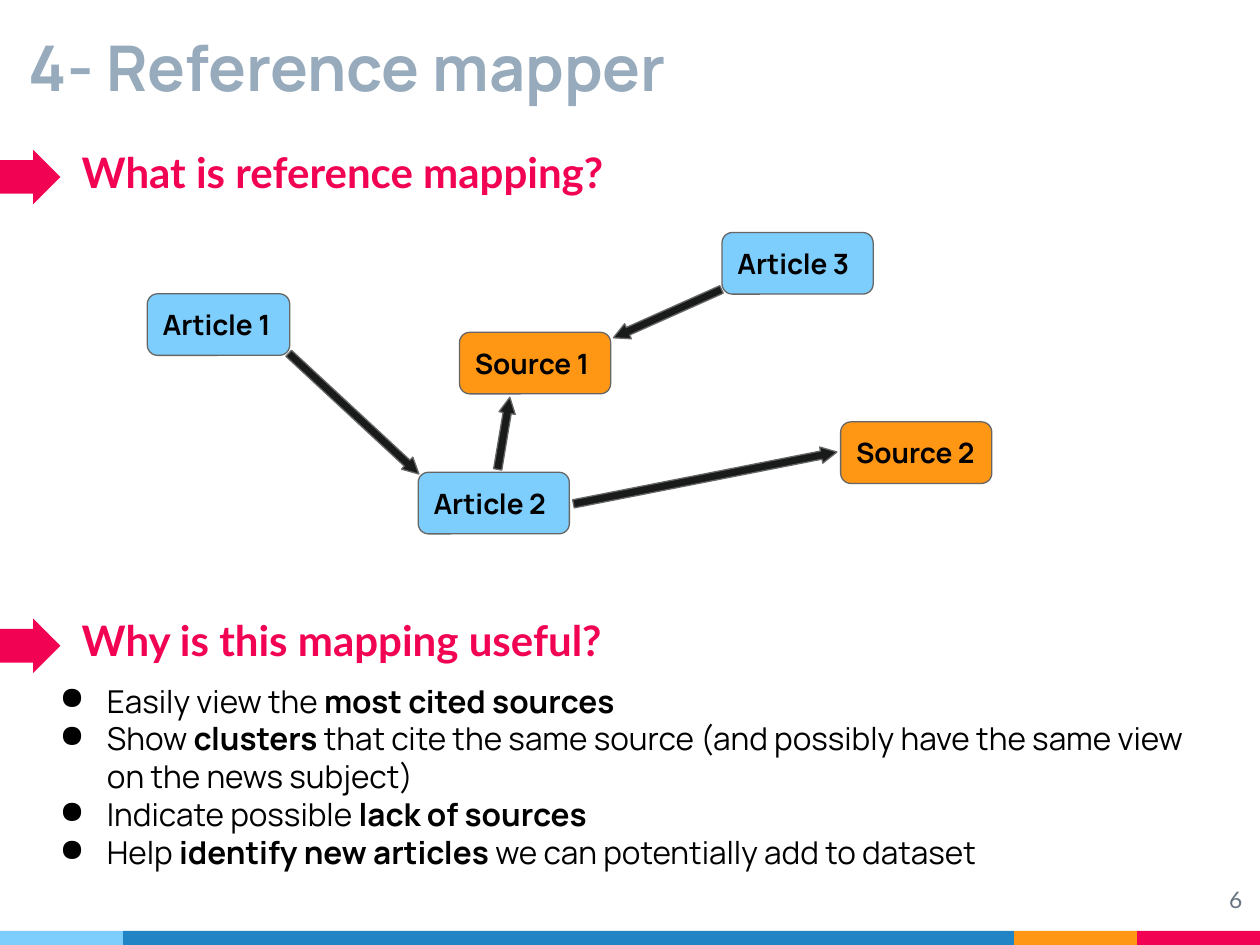
import math

from lxml import etree
from pptx import Presentation
from pptx.dml.color import RGBColor
from pptx.enum import shapes, text
from pptx.oxml import ns
from pptx.util import Pt

SKY = RGBColor(0x7E, 0xCE, 0xFD)
BLUE = RGBColor(0x21, 0x85, 0xC5)
ORANGE = RGBColor(0xFF, 0x97, 0x15)
PINK = RGBColor(0xF2, 0x02, 0x53)
TITLE_GREY = RGBColor(0x97, 0xAB, 0xBC)
NUMBER_GREY = RGBColor(0x67, 0x74, 0x80)
LINE_GREY = RGBColor(0x66, 0x66, 0x66)
INK = RGBColor(0x19, 0x1A, 0x1A)
BLACK = RGBColor(0, 0, 0)

SHAPE = shapes.MSO_SHAPE
ANCHOR = text.MSO_ANCHOR
ALIGN = text.PP_ALIGN

FOOTER = [(70.3, SKY), (509.2, BLUE), (70.25, ORANGE), (70.25, PINK)]
NODES = [
    ("Article 1", 0, 35, 81.4, SKY),
    ("Article 2", 154.8, 137, 86.4, SKY),
    ("Article 3", 328.4, 0, 86.4, SKY),
    ("Source 1", 178.4, 57, 86.4, ORANGE),
    ("Source 2", 396.2, 108.2, 86.4, ORANGE),
]
CITATIONS = [  # (tail, head)
    ((80.8, 69), (155.2, 138)),
    ((200.2, 135.3), (207.1, 94.1)),
    ((328.1, 32.5), (266.3, 60.1)),
    ((243.5, 155), (394.1, 125.4)),
]
BENEFITS = [  # runs alternate between regular and bold
    ("Easily view the ", "most cited sources"),
    ("Show ", "clusters ", "that cite the same source (and possibly "
     "have the same view on the news subject)"),
    ("Indicate possible ", "lack of sources"),
    ("Help ", "identify new articles", " we can potentially add to dataset"),
]


def style(font, name, size, color, bold=False):
    font.name, font.size, font.bold = name, Pt(size), bold
    font.color.rgb = color


def add_block(s, kind, x, y, w, h, fill, line=None):
    sp = s.shapes.add_shape(kind, Pt(x), Pt(y), Pt(w), Pt(h))
    sp.shadow.inherit = False
    sp.fill.solid()
    sp.fill.fore_color.rgb = fill
    if line is None:
        sp.line.fill.background()
    else:
        sp.line.color.rgb = line
        sp.line.width = Pt(0.75)
    return sp


def set_frame(sp, anchor):
    tf = sp.text_frame
    tf.word_wrap = True
    tf.vertical_anchor = anchor
    tf.margin_left = tf.margin_right = tf.margin_top = tf.margin_bottom = Pt(7.2)
    return tf


def add_text(s, x, y, w, h, anchor=ANCHOR.TOP):
    return set_frame(s.shapes.add_textbox(Pt(x), Pt(y), Pt(w), Pt(h)), anchor)


def add_line_of_text(s, box, words, font, size, color, bold=True,
                     anchor=ANCHOR.BOTTOM, align=ALIGN.LEFT):
    p = add_text(s, *box, anchor).paragraphs[0]
    p.text = words
    p.alignment = align
    style(p.runs[0].font, font, size, color, bold)


def add_footer(s, x, y, h):
    for w, color in FOOTER:
        add_block(s, SHAPE.RECTANGLE, x, y, w, h, color)
        x += w


def add_heading(s, x, y, words):
    """Pink arrow at the slide edge with its section heading."""
    add_line_of_text(s, (x + 39.6, y, 641.5, 50.4), words, "Lato", 24, PINK)
    sp = add_block(s, SHAPE.RIGHT_ARROW, x, y + 16.5, 34.5, 31, PINK)
    sp.adjustments[0] = 0.62


def add_node(s, x, y, w, words, color):
    sp = add_block(s, SHAPE.ROUNDED_RECTANGLE, x, y, w, 35.2, color, LINE_GREY)
    p = set_frame(sp, ANCHOR.MIDDLE).paragraphs[0]
    p.text = words
    p.alignment = ALIGN.LEFT
    style(p.runs[0].font, "Manrope", 16, BLACK, True)


def add_block_arrow(s, tail, head, width=9.4):
    """Down arrow turned so that it runs from tail to head."""
    dx, dy = head[0] - tail[0], head[1] - tail[1]
    length = math.hypot(dx, dy)
    x = (tail[0] + head[0] - width) / 2
    y = (tail[1] + head[1] - length) / 2
    sp = add_block(s, SHAPE.DOWN_ARROW, x, y, width, length, INK, LINE_GREY)
    sp.adjustments[0], sp.adjustments[1] = 0.5, 0.97
    sp.rotation = math.degrees(math.atan2(-dx, dy)) % 360


def add_map(s, x, y):
    for words, dx, dy, w, color in NODES:
        add_node(s, x + dx, y + dy, w, words, color)
    for ends in CITATIONS:
        add_block_arrow(s, *((x + dx, y + dy) for dx, dy in ends))


def add_bullet(p):
    pPr = p._p.get_or_add_pPr()
    pPr.set("marL", str(Pt(36)))
    pPr.set("indent", str(-Pt(27)))
    color = etree.SubElement(pPr, ns.qn("a:buClr"))
    etree.SubElement(color, ns.qn("a:srgbClr"), val=str(BLACK))
    etree.SubElement(pPr, ns.qn("a:buChar"), char="●")


def add_benefits(s, x, y, w, h):
    tf = add_text(s, x, y, w, h)
    for i, parts in enumerate(BENEFITS):
        p = tf.add_paragraph() if i else tf.paragraphs[0]
        add_bullet(p)
        for j, part in enumerate(parts):
            r = p.add_run()
            r.text = part
            style(r.font, "Manrope", 18, BLACK, j % 2 == 1)


def main():
    prs = Presentation()
    prs.slide_width, prs.slide_height = Pt(720), Pt(540)
    s = prs.slides.add_slide(prs.slide_layouts[6])
    add_footer(s, 0, 532, 8)
    add_line_of_text(s, (9.4, 15.8, 541.4, 51.1), "4- Reference mapper",
                     "Manrope", 36, TITLE_GREY)
    add_line_of_text(s, (674, 499, 43, 41), "6", "Lato", 13, NUMBER_GREY,
                     False, ANCHOR.TOP, ALIGN.RIGHT)
    add_heading(s, 0, 69.1, "What is reference mapping?")
    add_map(s, 84.2, 132.9)
    add_heading(s, 0, 337, "Why is this mapping useful?")
    add_benefits(s, 18, 382.3, 683.3, 139)
    prs.save("out.pptx")


if __name__ == "__main__":
    main()
